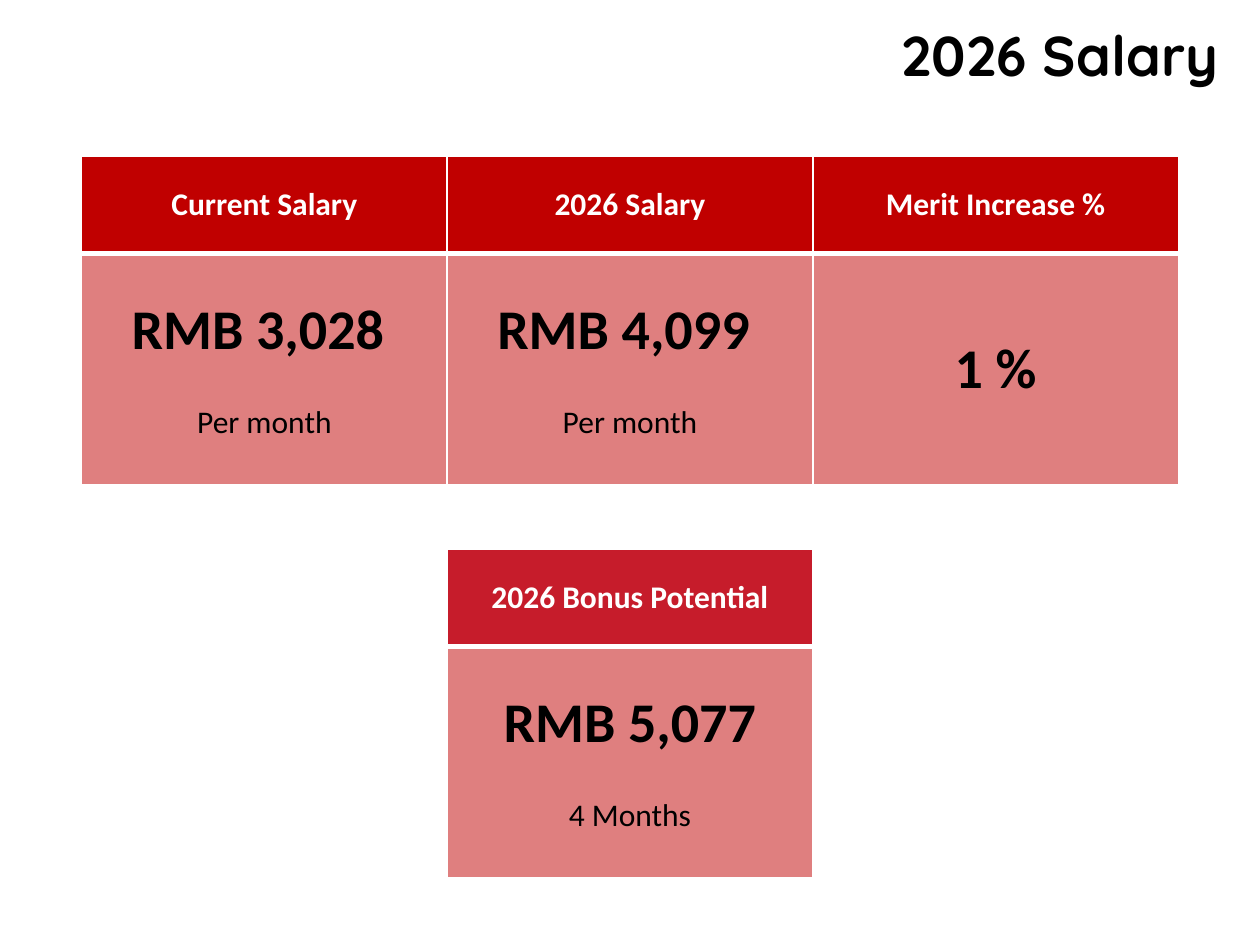
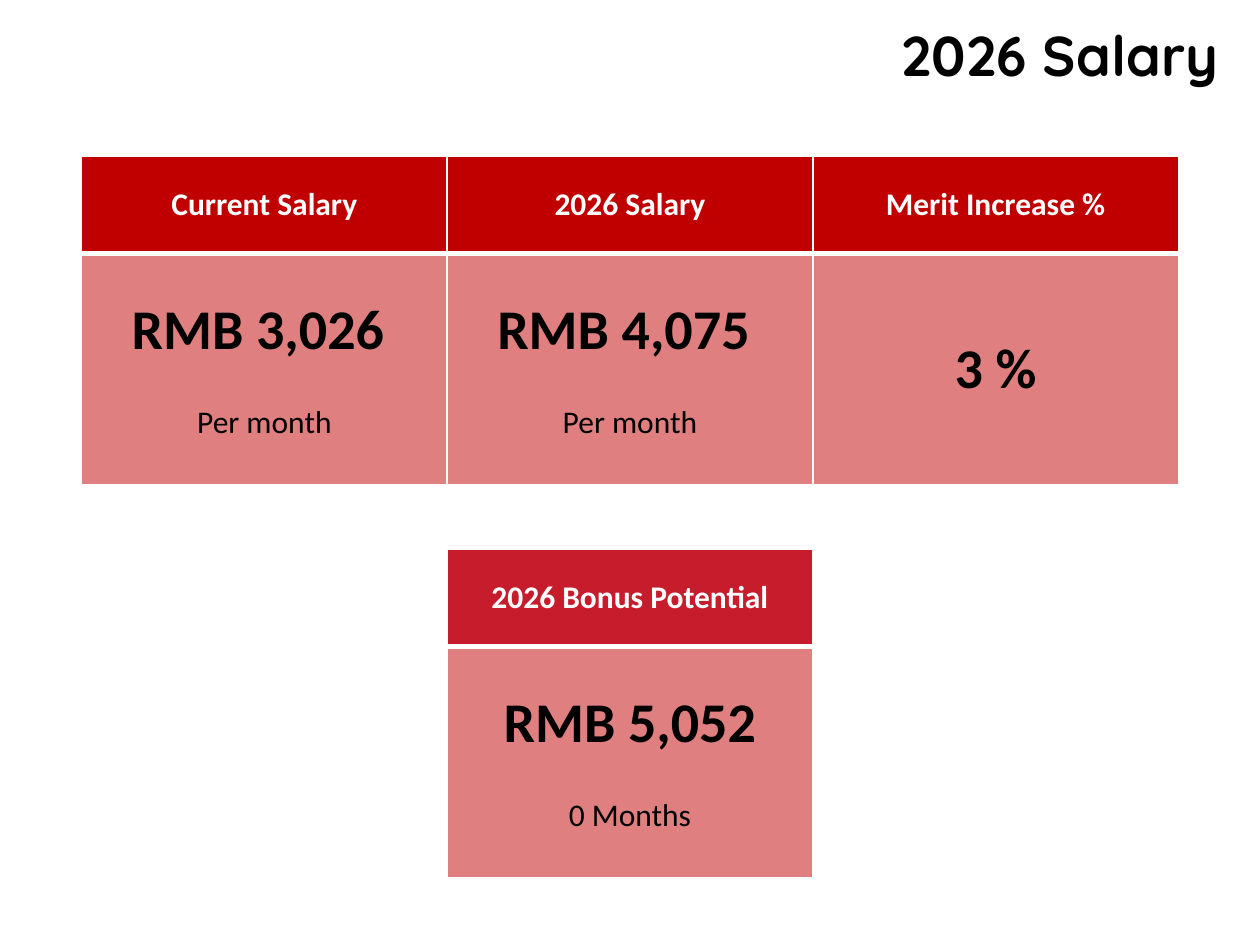
from lxml.etree import SubElement
from pptx import Presentation
from pptx.dml.color import RGBColor as RGB
from pptx.enum.text import MSO_ANCHOR as ANCHOR, MSO_AUTO_SIZE as AUTO, PP_ALIGN as ALIGN
from pptx.oxml.ns import qn
from pptx.util import Cm, Pt

COLORS = {
    "black": "000000",
    "white": "FFFFFF",
    "salary": "C00000",
    "bonus": "C61C2B",
    "bonus_tint": "DF7F7F",
}
TITLE_FONT, BODY_FONT = "Quicksand", "Calibri"

# Layout, in centimetres
SLIDE_W, SLIDE_H = 25.4, 19.05
CARD_W, HEAD_H, BODY_H = 7.37, 1.96, 4.67
SALARY_TOP, BONUS_TOP = 3.15, 11.07

# Current salary, new salary, merit increase, bonus, bonus months
EMPLOYEES = [
    ("RMB 3,028 ", "RMB 4,099 ", "1 %", "RMB 5,077", "4 Months"),
    ("RMB 3,026 ", "RMB 4,075 ", "3 %", "RMB 5,052", "0 Months"),
]


def style(p, size, color, bold, font=BODY_FONT, align=ALIGN.CENTER):
    p.alignment = align
    for r in p.runs:
        r.font.name = font
        r.font.size = Pt(size)
        r.font.bold = bold
        r.font.color.rgb = RGB.from_string(COLORS[color])


def set_borders(cell, **widths):
    """White borders; must be added before the cell's fill."""
    tc_pr = cell._tc.get_or_add_tcPr()
    for side in "LRTB":
        ln = SubElement(tc_pr, qn(f"a:ln{side}"), w=str(Pt(widths.get(side, 1))))
        fill = SubElement(ln, qn("a:solidFill"))
        SubElement(fill, qn("a:srgbClr"), val=COLORS["white"])


def fill_cell(cell, color, opacity=100):
    cell.vertical_anchor = ANCHOR.MIDDLE
    cell.fill.solid()
    cell.fill.fore_color.rgb = RGB.from_string(COLORS[color])
    if opacity < 100:
        clr = cell._tc.tcPr.find(f"{qn('a:solidFill')}/{qn('a:srgbClr')}")
        SubElement(clr, qn("a:alpha"), val=str(opacity * 1000))


def add_title(slide, text):
    title = slide.shapes.title
    title.left, title.top, title.width, title.height = Cm(8.92), Cm(0.28), Cm(15.9), Cm(2.82)
    tf = title.text_frame
    tf.text = text
    tf.auto_size = AUTO.NONE
    tf.vertical_anchor = ANCHOR.TOP
    style(tf.paragraphs[0], 32, "black", True, TITLE_FONT, ALIGN.RIGHT)


def add_card(slide, left, top, heading, value, note, head_color, body_color, opacity=100):
    """A one-column table: heading above a large value and an optional note."""
    tbl = slide.shapes.add_table(
        2, 1, Cm(left), Cm(top), Cm(CARD_W), Cm(HEAD_H + BODY_H)).table
    tbl.first_row = tbl.horz_banding = False
    tbl.rows[0].height, tbl.rows[1].height = Cm(HEAD_H), Cm(BODY_H)
    head, body = tbl.cell(0, 0), tbl.cell(1, 0)

    # Heading
    set_borders(head, B=3)
    fill_cell(head, head_color)
    head.text_frame.text = heading
    style(head.text_frame.paragraphs[0], 18, "white", True)

    # Value and note
    set_borders(body, T=3)
    fill_cell(body, body_color, opacity)
    tf = body.text_frame
    tf.text = value
    style(tf.paragraphs[0], 32, "black", True)
    if note:
        p = tf.add_paragraph()
        p.text = note
        p.space_before = Pt(22)
        style(p, 18, "black", False)


def add_salary_slide(prs, current, new, merit, bonus, months):
    slide = prs.slides.add_slide(prs.slide_layouts[5])
    add_title(slide, "2026 Salary")

    # Row of salary cards, centred on the slide
    cards = [
        ("Current Salary", current, "Per month"),
        ("2026 Salary", new, "Per month"),
        ("Merit Increase %", merit, None),
    ]
    left = (SLIDE_W - len(cards) * CARD_W) / 2
    for i, card in enumerate(cards):
        add_card(slide, left + i * CARD_W, SALARY_TOP, *card, "salary", "salary", 50)

    # Bonus card below the middle one
    add_card(slide, left + CARD_W, BONUS_TOP, "2026 Bonus Potential", bonus, months,
             "bonus", "bonus_tint")


def main():
    prs = Presentation()
    prs.slide_width, prs.slide_height = Cm(SLIDE_W), Cm(SLIDE_H)
    for employee in EMPLOYEES:
        add_salary_slide(prs, *employee)
    prs.save("out.pptx")


if __name__ == "__main__":
    main()
